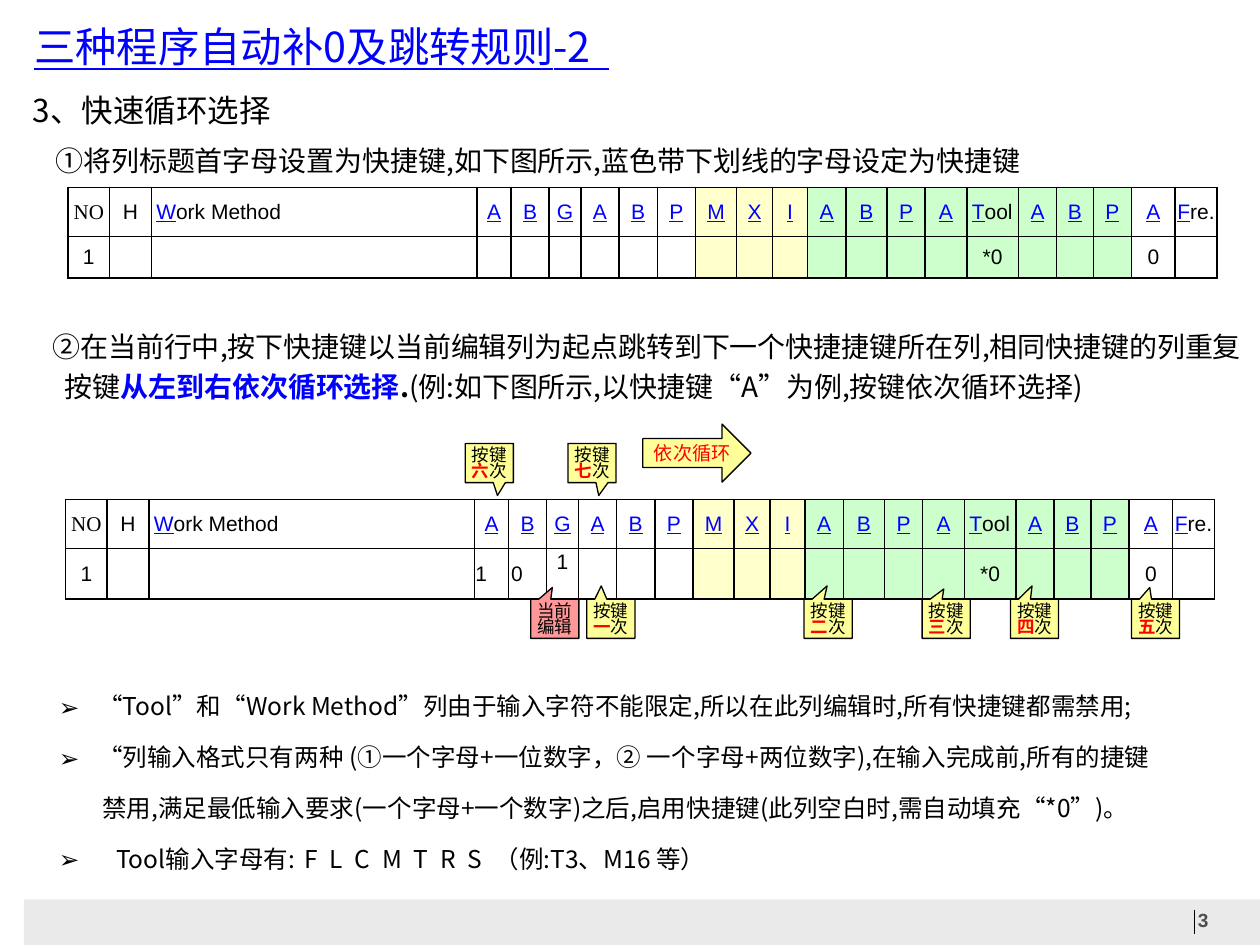
from dataclasses import dataclass

import pptx
import pptx.dml.color
import pptx.enum.shapes
import pptx.enum.text
import pptx.oxml
import pptx.oxml.ns
import pptx.util

Cm, Pt = pptx.util.Cm, pptx.util.Pt
SHAPE = pptx.enum.shapes.MSO_SHAPE
ALIGN = pptx.enum.text.PP_ALIGN
ANCHOR = pptx.enum.text.MSO_ANCHOR
CJK = "Noto Sans CJK SC"
BLACK, BLUE, RED, WHITE = "000000", "0000FF", "FF0000", "FFFFFF"
YELLOW, PINK, CREAM, GREEN = "FFFF99", "FF9999", "FFFFCC", "CCFFCC"


@dataclass
class Span:
    text: str
    color: str = BLACK
    bold: bool = False
    underline: bool = False
    spacing: int = 0


@dataclass
class Para:
    spans: list[Span]
    indent: float = 0
    bullet: bool = False


@dataclass
class Callout:
    left: float
    top: float
    tip: tuple[float, float]
    count: str = ""


def color_of(value: str):
    return pptx.dml.color.RGBColor.from_string(value)


def element(xml: str):
    return pptx.oxml.parse_xml(xml.replace(" ", f" {pptx.oxml.ns.nsdecls('a')} ", 1))


def write_spans(para, spans: list[Span], size: float, font: str = CJK) -> None:
    for item in spans:
        span = para.add_run()
        span.text = item.text
        span.font.size = Pt(size)
        span.font.name = font
        span.font.bold = item.bold
        span.font.underline = item.underline
        span.font.color.rgb = color_of(item.color)
        props = span._r.get_or_add_rPr()
        props.append(element(f'<a:ea typeface="{font}"/>'))
        if item.spacing:
            props.set("spc", str(item.spacing))


def set_frame(frame, margins=(0, 0, 0, 0), anchor=ANCHOR.MIDDLE, wrap: bool = True) -> None:
    frame.word_wrap = wrap
    frame.vertical_anchor = anchor
    (frame.margin_left, frame.margin_top,
     frame.margin_right, frame.margin_bottom) = map(Cm, margins)


def add_text(page, at, paras: list[Para], size: float, line: float) -> None:
    frame = page.shapes.add_textbox(*map(Cm, at)).text_frame
    set_frame(frame)
    for index, item in enumerate(paras):
        para = frame.add_paragraph() if index else frame.paragraphs[0]
        para.line_spacing = Pt(line)
        para.space_before = Pt(size / 2 if index else 0)
        props = para._p.get_or_add_pPr()
        props.set("marL", str(Cm(item.indent)))
        if item.bullet:
            props.set("indent", str(-Cm(item.indent)))
            props.append(element(f'<a:buFont typeface="{CJK}"/>'))
            props.append(element('<a:buChar char="➢"/>'))
        write_spans(para, item.spans, size)


def add_block(page, kind, at, fill: str = "", line: str = ""):
    shape = page.shapes.add_shape(kind, *map(Cm, at))
    shape.shadow.inherit = False
    if fill:
        shape.fill.solid()
        shape.fill.fore_color.rgb = color_of(fill)
    else:
        shape.fill.background()
    if line:
        shape.line.color.rgb = color_of(line)
        shape.line.width = Pt(0.75)
    else:
        shape.line.fill.background()
    return shape


def add_callout(page, item: Callout) -> None:
    box = add_block(page, SHAPE.RECTANGULAR_CALLOUT, (item.left, item.top, 0.97, 0.79),
                    YELLOW if item.count else PINK, BLACK)
    box.adjustments[0], box.adjustments[1] = item.tip
    set_frame(box.text_frame, (0.1, 0.18, 0.1, 0.1))
    para = box.text_frame.paragraphs[0]
    para.alignment = ALIGN.CENTER
    para.line_spacing = Pt(9.1)
    spans = [Span("当前编辑")]
    if item.count:
        spans = [Span("按键"), Span(item.count, RED, True), Span("次")]
    write_spans(para, spans, 10)


HEADERS = ["NO", "H", "Work Method", *"ABGABPMXIABPA", "Tool", *"ABPA", "Fre."]
WIDTHS = [0.84, 0.84, 6.57, 0.68, 0.77, 0.64, 0.77, 0.77, 0.77, 0.83, 0.72,
          0.71, 0.77, 0.83, 0.77, 0.84, 1.04, 0.77, 0.74, 0.77, 0.88, 0.84]
HEIGHTS = [0.99, 0.82]
FILLS = [WHITE] * 9 + [CREAM] * 3 + [GREEN] * 8 + [WHITE] * 2
LEFT_HEADERS = ("Work Method", "Tool")
BASE_VALUES = {0: "1", 16: "*0", 20: "0"}
EDITED_VALUES = BASE_VALUES | {3: "1\u3000", 4: "0\u3000", 5: "1\u3000"}


def add_grid(page, left: float, top: float, values: dict[int, str]) -> None:
    table = page.shapes.add_table(2, len(WIDTHS), Cm(left), Cm(top),
                                  Cm(sum(WIDTHS)), Cm(sum(HEIGHTS))).table
    table.first_row = table.horz_banding = False
    for row, height in zip(table.rows, HEIGHTS):
        row.height = Cm(height)
    for column, (header, width, fill) in enumerate(zip(HEADERS, WIDTHS, FILLS)):
        table.columns[column].width = Cm(width)
        for row in range(2):
            cell = table.cell(row, column)
            props = cell._tc.get_or_add_tcPr()
            for side in "LRTB":
                props.append(element(
                    f'<a:ln{side} w="12700"><a:solidFill><a:srgbClr val="{BLACK}"/>'
                    f'</a:solidFill></a:ln{side}>'))
            cell.fill.solid()
            cell.fill.fore_color.rgb = color_of(fill)
            is_left = row == 0 and header in LEFT_HEADERS
            cell.margin_left = Cm(0.1 if is_left else 0)
            cell.margin_right = cell.margin_top = cell.margin_bottom = 0
            cell.vertical_anchor = ANCHOR.MIDDLE
            para = cell.text_frame.paragraphs[0]
            para.alignment = ALIGN.LEFT if is_left else ALIGN.CENTER
            text = values.get(column, "") if row else header
            if row or column < 2:
                spans = [Span(text)] if text else []
            else:
                spans = [Span(text[0], BLUE, underline=True)]
                spans += [Span(text[1:])] if text[1:] else []
            write_spans(para, spans, 12, "Times New Roman" if text == "NO" else "Arial")


deck = pptx.Presentation()
deck.slide_width, deck.slide_height = Cm(25.4), Cm(19.05)
page = deck.slides.add_slide(deck.slide_layouts[6])

# Footer with page number, and the content panel
add_block(page, SHAPE.RECTANGLE, (0.48, 18.13, 24.92, 0.92), "EAEAEA")
number = page.shapes.add_textbox(Cm(23.9), Cm(18.19), Cm(1.42), Cm(0.61)).text_frame
set_frame(number, (0.25, 0.13, 0.25, 0.13), ANCHOR.TOP)
write_spans(number.paragraphs[0], [Span("3", "4D4D4D", True)], 10.9, "Arial")
rule = page.shapes.add_connector(pptx.enum.shapes.MSO_CONNECTOR.STRAIGHT,
                                 Cm(24.07), Cm(18.34), Cm(24.07), Cm(18.82))
rule.line.color.rgb = color_of(BLACK)
rule.line.width = Pt(0.5)
rule._element.spPr.append(element("<a:effectLst />"))
add_block(page, SHAPE.RECTANGLE, (0.48, 1.73, 24.92, 16.4), WHITE)

# Tables: the upper one is doubled, which thickens its rules
add_grid(page, 1.32, 10.07, EDITED_VALUES)
for top in (3.8, 3.78):
    add_grid(page, 1.37, top, BASE_VALUES)

# Title and headings
title = add_block(page, SHAPE.PENTAGON, (0.51, 0.44, 20.5, 0.99))
title.adjustments[0] = 0
set_frame(title.text_frame, (0.18, 0, 0.18, 0))
title.text_frame.paragraphs[0].alignment = ALIGN.LEFT
write_spans(title.text_frame.paragraphs[0],
            [Span("三种程序自动补0及跳转规则-2  ", BLUE, underline=True)], 23.6)
add_text(page, (0.66, 1.59, 12.62, 0.97), [Para([Span("3、快速循环选择")])], 18, 30)
add_text(page, (1.12, 2.56, 22.07, 0.97), [Para([Span(
    "①将列标题首字母设置为快捷键,如下图所示,蓝色带下划线的字母设定为快捷键")])], 16, 30)
add_text(page, (1.06, 6.75, 24.03, 1.42), [
    Para([Span("②在当前行中,按下快捷键以当前编辑列为起点跳转到下一个快捷捷键所在列,"
               "相同快捷键的列重复")]),
    Para([Span("按键"), Span("从左到右依次循环选择", BLUE, True), Span(".", bold=True),
          Span("(例:如下图所示,以快捷键“A”为例,按键依次循环选择)")], 0.25),
], 16, 15)

# Callouts and cycle arrow
ABOVE, BELOW = 8.94, 12.08
for callout in (
    Callout(10.7, BELOW, (-0.05, -0.8)),
    Callout(11.83, BELOW, (-0.2, -0.84), "一"),
    Callout(16.21, BELOW, (-0.02, -0.84), "二"),
    Callout(18.59, BELOW, (-0.05, -0.76), "三"),
    Callout(20.37, BELOW, (-0.05, -0.84), "四"),
    Callout(22.81, BELOW, (-0.12, -0.8), "五"),
    Callout(9.38, ABOVE, (0.17, 0.83), "六"),
    Callout(11.45, ABOVE, (0.14, 0.83), "七"),
):
    add_callout(page, callout)
arrow = add_block(page, SHAPE.RIGHT_ARROW, (12.96, 8.55, 2.18, 1.17), YELLOW, BLACK)
set_frame(arrow.text_frame, (0.1, 0, 0, 0), wrap=False)
arrow.text_frame.paragraphs[0].alignment = ALIGN.CENTER
write_spans(arrow.text_frame.paragraphs[0], [Span("依次循环", RED)], 10.9)

# Rules
add_text(page, (1.19, 13.63, 23.77, 4.09), [
    Para([Span("“Tool”和“Work Method”列由于输入字符不能限定,所以在此列编辑时,"
               "所有快捷键都需禁用;")], 0.79, True),
    Para([Span("“列输入格式只有两种 (①一个字母+一位数字，② 一个字母+两位数字),"
               "在输入完成前,所有的捷键")], 0.79, True),
    Para([Span("禁用,满足最低输入要求(一个字母+一个数字)之后,启用快捷键"
               "(此列空白时,需自动填充“*0”)。")], 0.87),
    Para([Span("Tool输入字母有:"), Span(" F L C M T R S ", spacing=180),
          Span("（例:T3、M16 等）")], 1.15, True),
], 14, 22)

deck.save("out.pptx")
